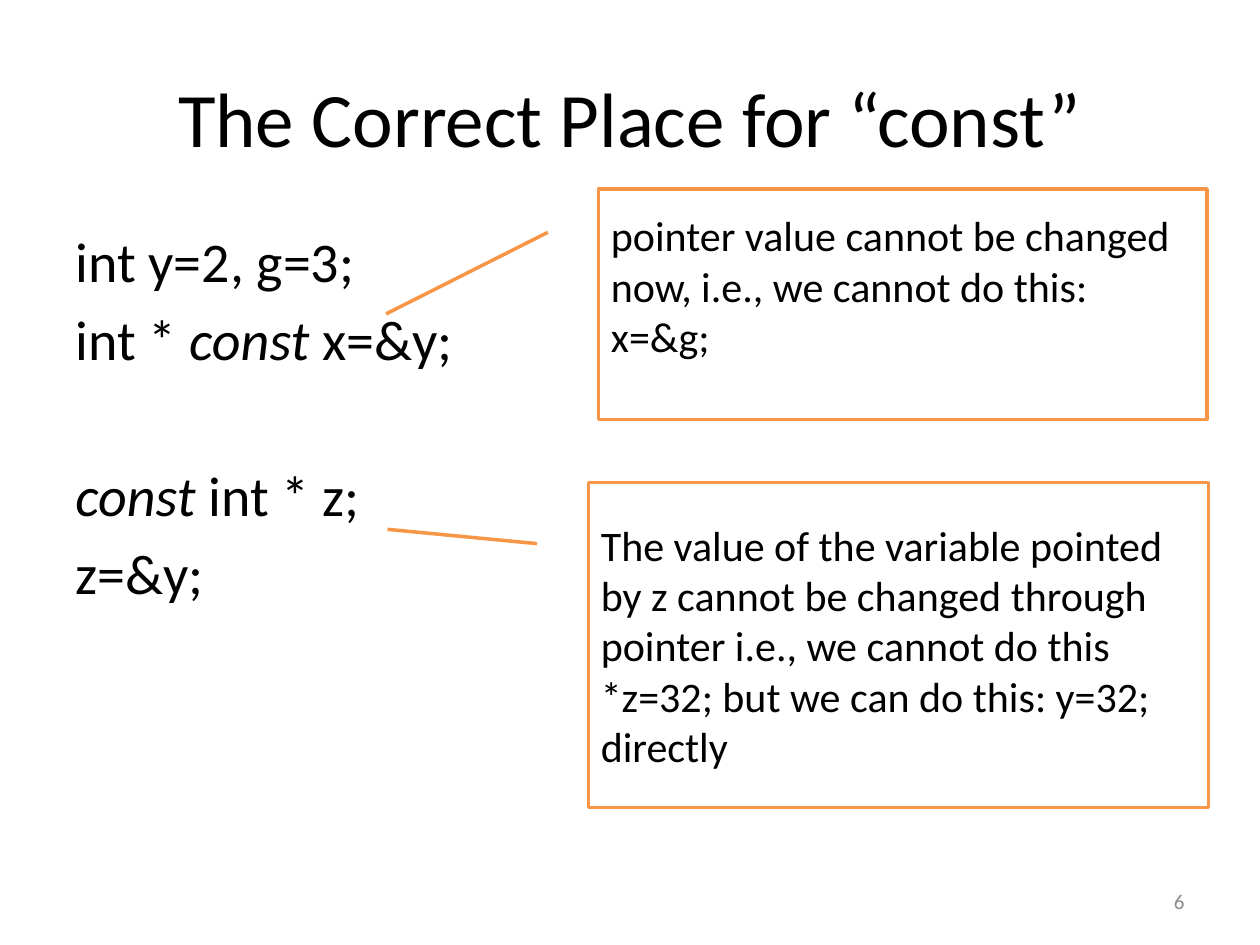
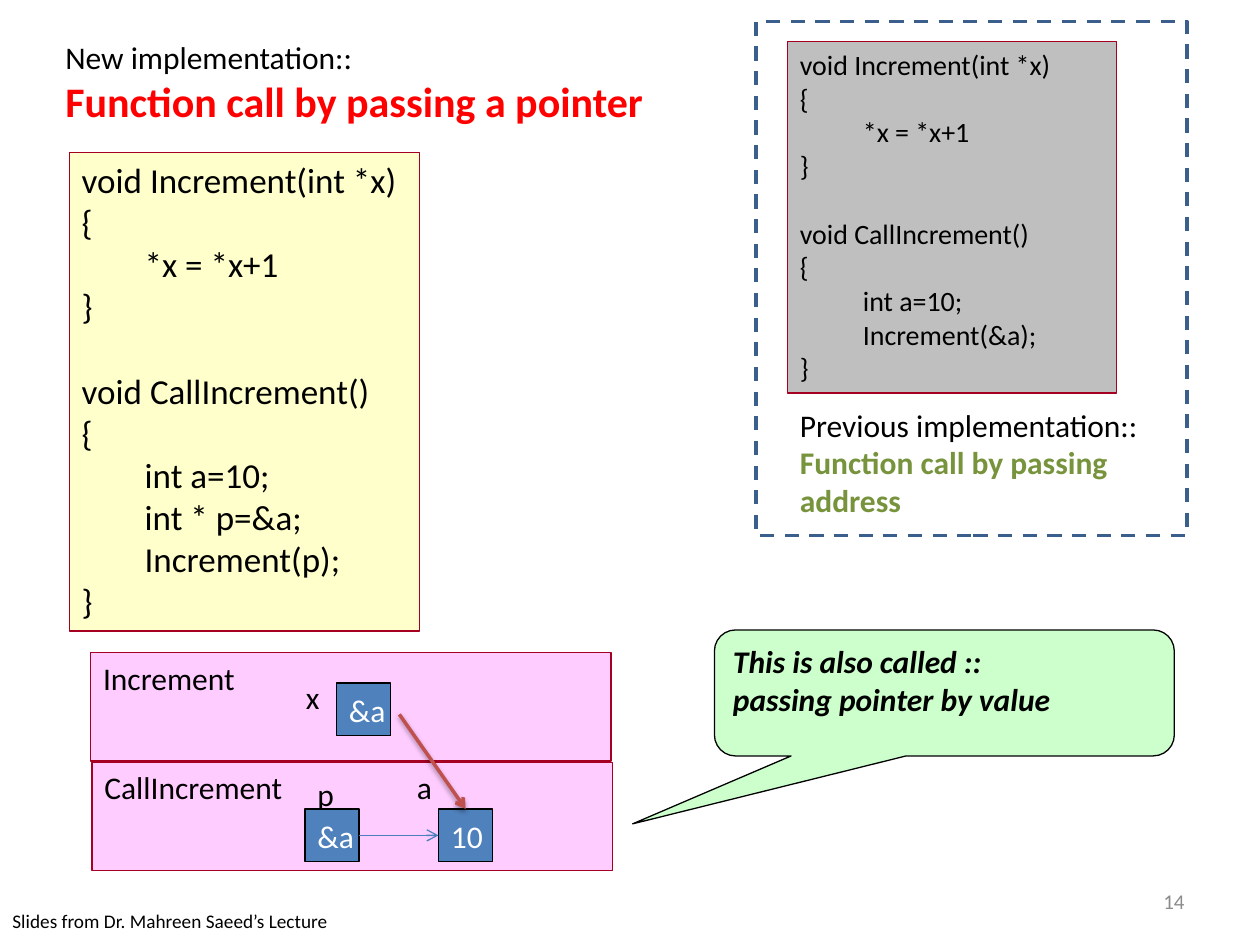
from lxml import etree
from pptx import Presentation
from pptx.dml.color import RGBColor
from pptx.enum.dml import MSO_LINE
from pptx.enum.shapes import MSO_CONNECTOR, MSO_SHAPE
from pptx.enum.text import MSO_ANCHOR, PP_ALIGN
from pptx.oxml.ns import qn
from pptx.util import Inches, Pt

RECTANGLE = MSO_SHAPE.RECTANGLE
LINE_CALLOUT = MSO_SHAPE.LINE_CALLOUT_1
SPEECH_CALLOUT = MSO_SHAPE.ROUNDED_RECTANGULAR_CALLOUT
STRAIGHT = MSO_CONNECTOR.STRAIGHT
DASH = MSO_LINE.DASH
TOP, MIDDLE = MSO_ANCHOR.TOP, MSO_ANCHOR.MIDDLE
LEFT, CENTER, RIGHT = PP_ALIGN.LEFT, PP_ALIGN.CENTER, PP_ALIGN.RIGHT
SIDE_TOP, SIDE_LEFT, SIDE_RIGHT = 0, 1, 3

FONT = "Calibri"
BLACK, WHITE, GRAY = "000000", "FFFFFF", "8C8C8C"
ORANGE, CRIMSON, RED, OLIVE = "F79646", "A50021", "FF0000", "77933C"
YELLOW, PINK, SILVER, MINT = "FFFFCC", "FFCCFF", "BFBFBF", "CCFFCC"
BLUE, ARROW_BLUE, DASH_BLUE, BRICK = "4F81BD", "4B7EBC", "3A5F8C", "C0504D"
LINE_HEIGHT = 1.22
ITALIC = {"italic": True}

INCREMENT = ["void Increment(int *x)", "{", "\t*x = *x+1", "}"]
CALL_START = ["void CallIncrement()", "{", "\tint a=10;"]


def color(hex_text):
    return RGBColor.from_string(hex_text)


def apply(target, values):
    for name, value in values.items():
        setattr(target, name, value)


def write(box, lines, size, ink=BLACK, align=LEFT, **frame_format):
    frame = box.text_frame
    apply(frame, {"word_wrap": True, "vertical_anchor": TOP, **frame_format})
    for index, line in enumerate(lines):
        para = frame.add_paragraph() if index else frame.paragraphs[0]
        para.alignment = align
        for text, style in [(line, {})] if isinstance(line, str) else line:
            span = para.add_run()
            span.text = text
            look = {"name": FONT, "size": Pt(size), **style}
            span.font.color.rgb = color(look.pop("ink", ink))
            apply(span.font, look)
    return frame.paragraphs


def add_text(page, place, lines, size, **options):
    box = page.shapes.add_textbox(*map(Inches, place))
    return write(box, lines, size, **options)


def add_box(page, place, fill, line, width=0.75, kind=RECTANGLE, adjust=()):
    box = page.shapes.add_shape(kind, *map(Inches, place))
    box.shadow.inherit = False
    for index, value in enumerate(adjust):
        box.adjustments[index] = value
    if fill:
        box.fill.solid()
        box.fill.fore_color.rgb = color(fill)
    else:
        box.fill.background()
    box.line.color.rgb = color(line)
    box.line.width = Pt(width)
    return box


def add_note(page, place, adjust, lines, **options):
    note = add_box(page, place, WHITE, ORANGE, 2, LINE_CALLOUT, adjust)
    write(note, lines, 24, vertical_anchor=MIDDLE, **options)


def add_code(page, place, fill, call_lines, size):
    box = add_box(page, place, fill, CRIMSON)
    lines = INCREMENT + CALL_START + call_lines + ["}"]
    paras = write(box, lines, size, word_wrap=False)
    paras[len(INCREMENT)].space_before = Pt(size * LINE_HEIGHT)


def add_frame(page, left, top, text):
    box = add_box(page, (left, top, 4.13, 0.86), PINK, CRIMSON)
    return write(box, [text], 18)[0]


def add_cell(page, left, top, text):
    cell = add_box(page, (left, top, 0.43, 0.42), BLUE, BLACK)
    write(cell, [text], 18, ink=WHITE, vertical_anchor=MIDDLE, word_wrap=False)
    return cell


def set_tab(para, inches):
    tabs = etree.SubElement(para._p.get_or_add_pPr(), qn("a:tabLst"))
    etree.SubElement(tabs, qn("a:tab"), pos=str(Inches(inches)), algn="l")


def add_arrow(page, start, end, ink, width):
    arrow = page.shapes.add_connector(STRAIGHT, *map(Inches, start + end))
    arrow.line.color.rgb = color(ink)
    arrow.line.width = Pt(width)
    etree.SubElement(arrow.line._get_or_add_ln(), qn("a:tailEnd"), type="arrow")
    effects = etree.SubElement(arrow._element.spPr, qn("a:effectLst"))
    return arrow, effects


def add_shadow(effects):
    shadow = etree.SubElement(effects, qn("a:outerShdw"), blurRad=str(Pt(3.1)),
                              dist=str(Pt(1.6)), dir="5400000", rotWithShape="0")
    ink = etree.SubElement(shadow, qn("a:srgbClr"), val=BLACK)
    etree.SubElement(ink, qn("a:alpha"), val="38000")


def add_page(deck):
    return deck.slides.add_slide(deck.slide_layouts[6])


def add_number(page, number):
    add_text(page, (7.17, 6.95, 2.33, 0.4), [number], 12, ink=GRAY,
             align=RIGHT, vertical_anchor=MIDDLE)


def build_const_page(deck):
    page = add_page(deck)
    add_text(page, (0.5, 0.3, 9, 1.25), ["The Correct Place for “const”"], 44,
             align=CENTER, vertical_anchor=MIDDLE)
    code = add_text(page, (0.5, 1.75, 9, 4.95), [
        "int y=2, g=3;",
        [("int * ", {}), ("const", ITALIC), (" x=&y;", {})],
        [("const ", ITALIC), ("int * z;", {})],
        "z=&y;",
    ], 32)
    for para in code:
        para.space_before = Pt(6)
    code[2].space_before = Pt(51)
    add_number(page, "6")
    add_note(page, (4.75, 1.5, 4.83, 1.83), (0.188, -0.083, 0.542, -0.349), [
        "pointer value cannot be changed now, i.e., we cannot do this:",
        "x=&g;",
    ], margin_bottom=Inches(0.35))
    add_note(page, (4.67, 3.83, 4.92, 2.58), (0.188, -0.083, 0.144, -0.324), [
        "The value of the variable pointed by z cannot be changed through "
        "pointer i.e., we cannot do this",
        "*z=32; but we can do this: y=32; directly",
    ])


def draw_memory(page):
    set_tab(add_frame(page, 0.73, 6.05, "CallIncrement\ta"), 2.48)
    add_frame(page, 0.72, 5.18, "Increment")
    value = add_cell(page, 3.48, 6.42, "10")
    add_text(page, (2.42, 6.1, 0.58, 0.4), ["p"], 18)
    pointer = add_cell(page, 2.42, 6.42, "&a")
    add_cell(page, 2.67, 5.42, "&a")
    add_text(page, (2.33, 5.33, 0.58, 0.4), ["x"], 18)
    link, _ = add_arrow(page, (2.85, 6.63), (3.48, 6.63), ARROW_BLUE, 0.75)
    link.begin_connect(pointer, SIDE_RIGHT)
    link.end_connect(value, SIDE_LEFT)
    target, effects = add_arrow(page, (3.17, 5.67), (3.7, 6.42), BRICK, 2)
    target.end_connect(value, SIDE_TOP)
    add_shadow(effects)


def build_pointer_page(deck):
    page = add_page(deck)
    add_code(page, (0.55, 1.21, 2.78, 3.8), YELLOW,
             ["\tint * p=&a;", "\tIncrement(p);"], 20)
    add_number(page, "14")
    add_text(page, (0, 7.17, 5.08, 0.29),
             ["Slides from Dr. Mahreen Saeed’s Lecture"], 11)
    draw_memory(page)
    add_code(page, (6.25, 0.33, 2.61, 2.79), SILVER, ["\tIncrement(&a);"], 16)
    add_text(page, (6.25, 3.17, 3.17, 1.01), [
        "Previous implementation::",
        [("Function call by passing address", {"ink": OLIVE, "bold": True})],
    ], 18)
    add_text(page, (0.42, 0.25, 4.92, 0.81), [
        "New implementation::",
        [("Function call by passing a pointer",
          {"ink": RED, "bold": True, "size": Pt(24)})],
    ], 18)
    speech = add_box(page, (5.67, 5, 3.65, 1), MINT, BLACK,
                     kind=SPEECH_CALLOUT, adjust=(-0.678, 1.039, 0.167))
    strong = {"bold": True, "italic": True}
    write(speech, [[("This is also called ::", strong)],
                   [("passing pointer by value", strong)]], 18)
    border = add_box(page, (6, 0.17, 3.42, 4.08), None, DASH_BLUE, 2)
    border.line.dash_style = DASH


def main():
    deck = Presentation()
    apply(deck, {"slide_width": Inches(10), "slide_height": Inches(7.5)})
    build_const_page(deck)
    build_pointer_page(deck)
    deck.save("out.pptx")


if __name__ == "__main__":
    main()
